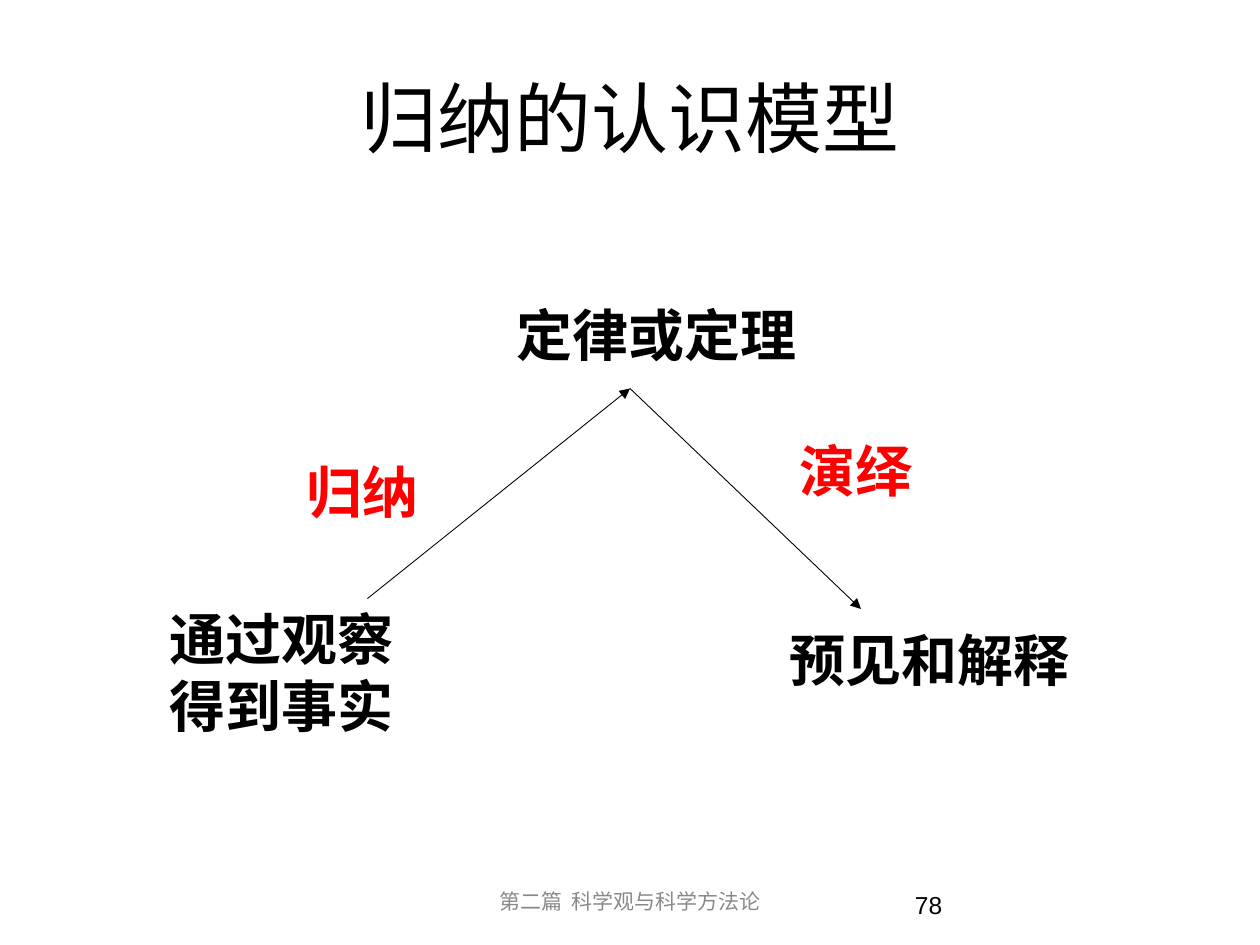
"""Build a slide showing the inductive model of knowledge."""
from lxml.etree import SubElement
from pptx import Presentation
from pptx.dml.color import RGBColor
from pptx.enum.shapes import MSO_CONNECTOR as Connector
from pptx.enum.text import MSO_ANCHOR as Anchor, PP_ALIGN as Align
from pptx.oxml.ns import qn
from pptx.util import Pt

BLACK = RGBColor(0x00, 0x00, 0x00)
RED = RGBColor(0xFF, 0x00, 0x00)
GRAY = RGBColor(0x89, 0x89, 0x89)
CHINESE_FONT = "Noto Sans CJK SC"

deck = Presentation()
deck.slide_width, deck.slide_height = Pt(720), Pt(540)
page = deck.slides.add_slide(deck.slide_layouts[6])


def add_text(text, bounds, size, font, color, align=Align.LEFT, anchor=Anchor.TOP, bold=False):
    box = page.shapes.add_textbox(*[Pt(value) for value in bounds])
    frame = box.text_frame
    frame.word_wrap = True
    frame.vertical_anchor = anchor
    para = frame.paragraphs[0]
    para.text = text
    para.alignment = align
    para.font.size = Pt(size)
    para.font.bold = bold
    para.font.color.rgb = color
    para.font.name = font
    SubElement(para.font._element, qn("a:ea"), typeface=CHINESE_FONT)


add_text("归纳的认识模型", (36, 21.6, 648, 90), 44, CHINESE_FONT, BLACK, Align.CENTER, Anchor.MIDDLE)
add_text("第二篇  科学观与科学方法论", (246, 500.4, 228, 28.8), 12, "Arial", GRAY, Align.CENTER, Anchor.MIDDLE)
add_text("78", (377.5, 502.5, 168, 28.8), 14, "Arial", BLACK, Align.RIGHT, Anchor.MIDDLE)

labels = [
    ("通过观察得到事实", (90, 342, 150, 84), BLACK),
    ("归纳", (168, 258, 84, 46), RED),
    ("定律或定理", (288, 168, 204, 46), BLACK),
    ("预见和解释", (444, 354, 180, 46), BLACK),
    ("演绎", (450, 246, 108, 46), RED),
]
for text, bounds, color in labels:
    add_text(text, bounds, 32, "Cabin", color, bold=True)

facts, law, prediction = (210, 342), (360, 222), (492, 348)
for start, end in [(facts, law), (law, prediction)]:
    arrow = page.shapes.add_connector(Connector.STRAIGHT, *[Pt(value) for value in start + end])
    arrow.line.color.rgb = BLACK
    arrow.line.width = Pt(0.5)
    SubElement(arrow.line._get_or_add_ln(), qn("a:tailEnd"), type="triangle")
    SubElement(arrow._element.spPr, qn("a:effectLst"))

deck.save("out.pptx")
